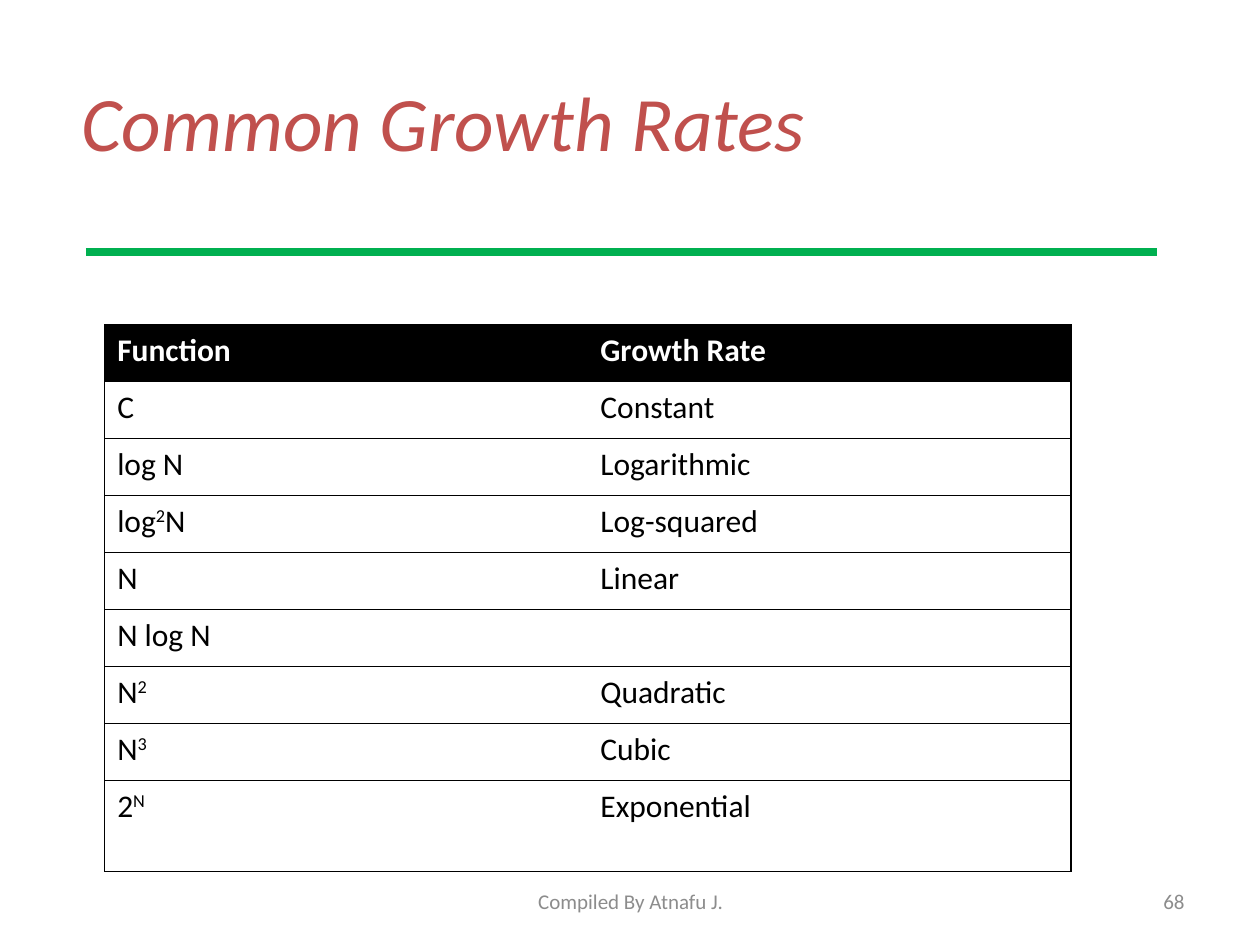
import pptx
import pptx.dml.color
import pptx.enum.shapes
import pptx.enum.text
import pptx.oxml.ns
import pptx.util
from lxml import etree

Cm = pptx.util.Cm
Pt = pptx.util.Pt
RGB = pptx.dml.color.RGBColor
ALIGN = pptx.enum.text.PP_ALIGN
MIDDLE = pptx.enum.text.MSO_ANCHOR.MIDDLE
qn = pptx.oxml.ns.qn

RED = RGB(0xC0, 0x50, 0x4D)
GREEN = RGB(0x00, 0xB0, 0x50)
GRAY = RGB(0x8C, 0x8C, 0x8C)
BLACK = RGB(0, 0, 0)
WHITE = RGB(0xFF, 0xFF, 0xFF)

# A part between carets is set as superscript
ROWS = [
    ("Function", "Growth Rate"),
    ("C", "Constant"),
    ("log N", "Logarithmic"),
    ("log^2^N", "Log-squared"),
    ("N", "Linear"),
    ("N log N", ""),
    ("N^2^", "Quadratic"),
    ("N^3^", "Cubic"),
    ("2^N^", "Exponential"),
]


def write(frame, text, size=18, color=BLACK, bold=False, italic=False,
          align=ALIGN.LEFT, font="Calibri"):
    para = frame.paragraphs[0]
    para.alignment = align
    for i, part in enumerate(text.split("^")):
        if not part:
            continue
        run = para.add_run()
        run.text = part
        run.font.name = font
        run.font.size = Pt(size)
        run.font.bold = bold
        run.font.italic = italic
        run.font.color.rgb = color
        if i % 2:
            run.font._element.set("baseline", "30000")


def border(cell, side, color=None, width=0.75):
    props = cell._tc.get_or_add_tcPr()
    line = etree.SubElement(props, qn("a:ln" + side), w=str(Pt(width)))
    if color is None:
        etree.SubElement(line, qn("a:noFill"))
    else:
        fill = etree.SubElement(line, qn("a:solidFill"))
        etree.SubElement(fill, qn("a:srgbClr"), val=str(color))


class Page:
    def __init__(self, slide, font="Calibri"):
        self.slide = slide
        self.font = font

    def text(self, text, left, top, width, height, **style):
        box = self.slide.shapes.add_textbox(
            Cm(left), Cm(top), Cm(width), Cm(height))
        box.text_frame.word_wrap = True
        box.text_frame.vertical_anchor = MIDDLE
        write(box.text_frame, text, font=self.font, **style)

    def rule(self, left, top, right, color, width):
        line = self.slide.shapes.add_connector(
            pptx.enum.shapes.MSO_CONNECTOR.STRAIGHT,
            Cm(left), Cm(top), Cm(right), Cm(top))
        line.line.color.rgb = color
        line.line.width = Pt(width)
        etree.SubElement(line._element.spPr, qn("a:effectLst"))

    def table(self, rows, left, top, width, high, last):
        count, cols = len(rows), len(rows[0])
        table = self.slide.shapes.add_table(
            count, cols, Cm(left), Cm(top), Cm(width),
            Cm(high * (count - 1) + last)).table
        for r, row in enumerate(rows):
            table.rows[r].height = Cm(last if r == count - 1 else high)
            head = r == 0
            for c, text in enumerate(row):
                cell = table.cell(r, c)
                # Only the outer sides have vertical lines
                border(cell, "L", BLACK if c == 0 else None)
                border(cell, "R", BLACK if c == cols - 1 else None)
                border(cell, "T", BLACK)
                border(cell, "B", BLACK)
                cell.fill.solid()
                cell.fill.fore_color.rgb = BLACK if head else WHITE
                write(cell.text_frame, text, font=self.font, bold=head,
                      color=WHITE if head else BLACK)


def main():
    deck = pptx.Presentation()
    deck.slide_width, deck.slide_height = Cm(25.4), Cm(19.05)
    page = Page(deck.slides.add_slide(deck.slide_layouts[6]))

    # Title and rule
    page.text("Common Growth Rates", 1.4, 0.84, 22.86, 3.18,
              size=44, color=RED, italic=True)
    page.rule(1.73, 5.08, 23.32, GREEN, 4.25)

    # Growth rates
    page.table(ROWS, 2.11, 6.55, 19.48, 1.15, 1.83)

    # Footer
    page.text("68", 18.21, 17.65, 5.92, 1.02,
              size=12, color=GRAY, align=ALIGN.RIGHT)
    page.text("Compiled By Atnafu J.", 8.69, 17.65, 8.05, 1.02,
              size=12, color=GRAY, align=ALIGN.CENTER)

    deck.save("out.pptx")


if __name__ == "__main__":
    main()
